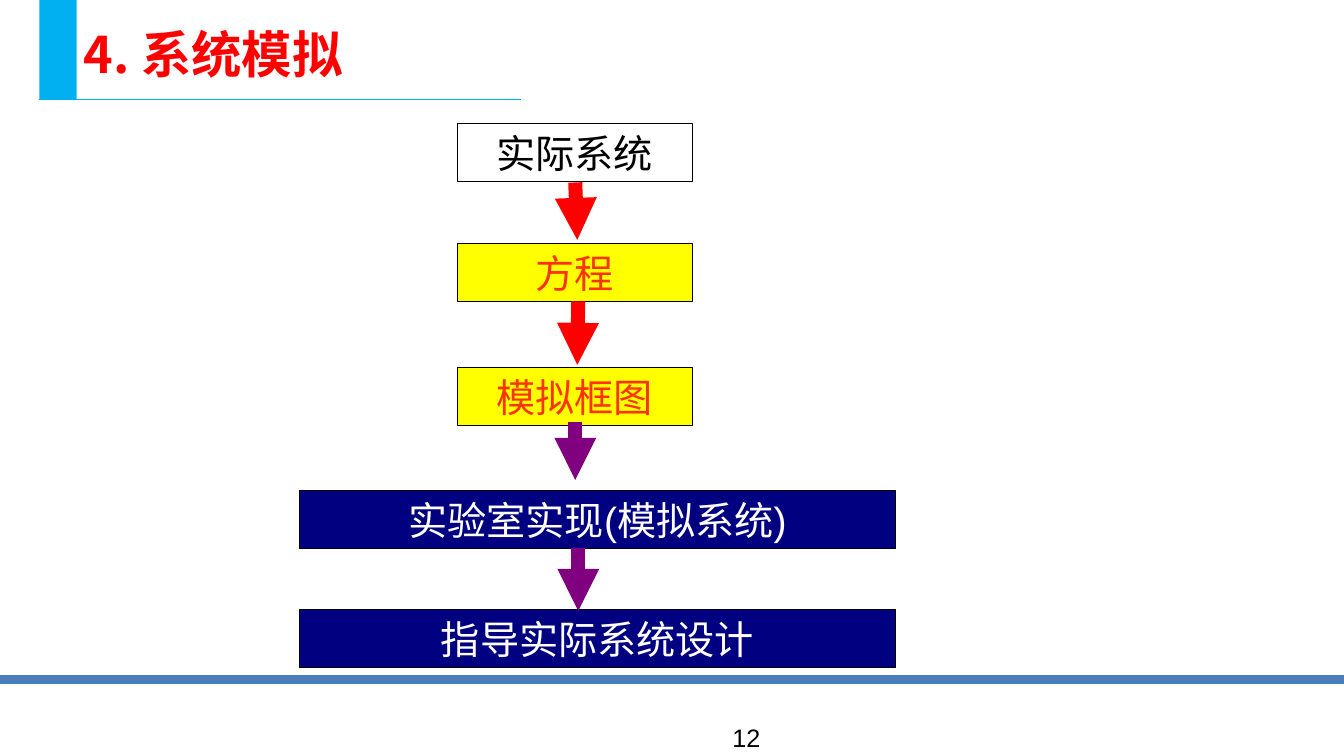
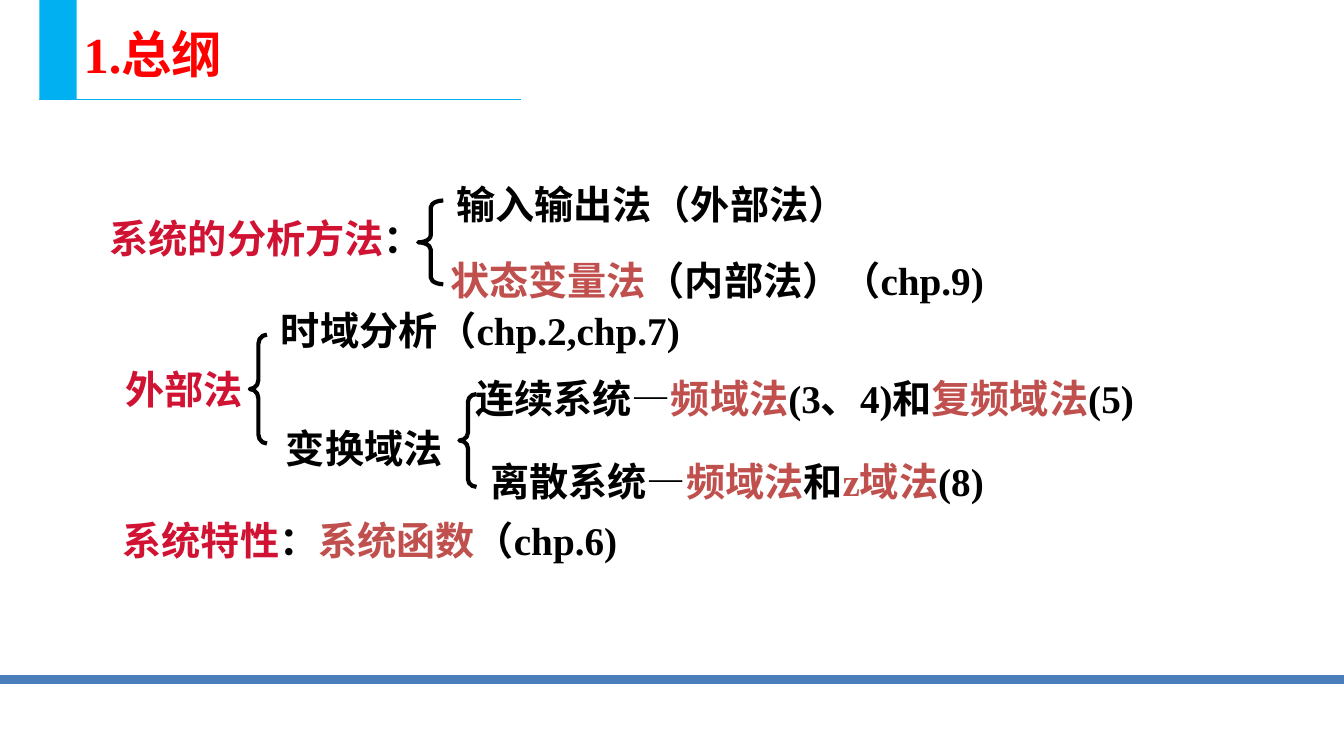
from lxml import etree
from pptx import Presentation
from pptx.dml.color import RGBColor
from pptx.enum.shapes import MSO_CONNECTOR, MSO_SHAPE
from pptx.enum.text import MSO_ANCHOR, MSO_AUTO_SIZE, PP_ALIGN
from pptx.oxml.ns import qn
from pptx.util import Pt

SCALE = 9144
SLIDE_WIDTH, SLIDE_HEIGHT = 1334, 750
TITLE_LAYOUT = 5

STRAIGHT = MSO_CONNECTOR.STRAIGHT
RECTANGLE, LEFT_BRACE = MSO_SHAPE.RECTANGLE, MSO_SHAPE.LEFT_BRACE
MIDDLE, BOTTOM = MSO_ANCHOR.MIDDLE, MSO_ANCHOR.BOTTOM
LEFT, CENTER = PP_ALIGN.LEFT, PP_ALIGN.CENTER
NO_AUTOSIZE = MSO_AUTO_SIZE.NONE

SANS, SERIF, CHINESE = "Arial", "Times New Roman", "Noto Sans CJK SC"
BLACK, WHITE, RED, YELLOW = "000000", "FFFFFF", "FF0000", "FFFF00"
CYAN, BAND_BLUE, NAVY, PURPLE = "00B0F0", "4A7EBB", "000080", "800080"
ORANGE, CRIMSON, BRICK = "FF3300", "D11333", "C0504D"

TITLE_TOP, TITLE_LEFT, TITLE_HEIGHT = 12, 73, 76
ROW_HEIGHT = 57
NARROW, WIDE = (454, 233), (297, 592)

STEPS = [
    ("实际系统", NARROW, 123, WHITE, BLACK),
    ("方程", NARROW, 242, YELLOW, ORANGE),
    ("模拟框图", NARROW, 365, YELLOW, ORANGE),
    ("实验室实现(模拟系统)", WIDE, 487, NAVY, WHITE),
    ("指导实际系统设计", WIDE, 605, NAVY, WHITE),
]
ARROWS = [
    ((571, 181), (573, 238), RED),
    ((574, 299), (573, 362), RED),
    ((571, 419), (571, 476), PURPLE),
    ((574, 544), (574, 606), PURPLE),
]
PAGE_NUMBER = ("12", (717, 712, 233, 50))

OUTLINE = [
    ((99, 207, 330), [("系统的分析方法", CRIMSON), ("：", BLACK)]),
    ((443, 174, 408), [("输入输出法（外部法）", BLACK)]),
    ((437, 249, 559), [("状态变量法", BRICK), ("（内部法）（chp.9)", BLACK)]),
    ((115, 357, 136), [("外部法", CRIMSON)]),
    ((269, 299, 425), [("时域分析（chp.2,chp.7)", BLACK)]),
    ((274, 416, 175), [("变换域法", BLACK)]),
    ((462, 366, 720), [("连续系统—", BLACK), ("频域法", BRICK), ("(3、4)和", BLACK),
                       ("复频域法", BRICK), ("(5)", BLACK)]),
    ((477, 449, 537), [("离散系统—", BLACK), ("频域法", BRICK), ("和", BLACK),
                       ("z域法", BRICK), ("(8)", BLACK)]),
    ((112, 507, 520), [("系统特性", CRIMSON), ("：", BLACK),
                       ("系统函数", BRICK), ("（chp.6)", BLACK)]),
]
BRACES = [(415, 199, 25, 83), (248, 332, 17, 108), (456, 391, 17, 92)]


def px(*lengths):
    return [length * SCALE for length in lengths]


def color(value):
    return RGBColor.from_string(value)


def write_text(box, spans, size=28, font=SANS, bold=False, align=LEFT,
               anchor=MIDDLE, wrap=True):
    frame = box.text_frame
    frame.auto_size = NO_AUTOSIZE
    frame.word_wrap = wrap
    frame.vertical_anchor = anchor
    para = frame.paragraphs[0]
    para.alignment = align
    for text, text_color in spans:
        span = para.add_run()
        span.text = text
        span.font.size = Pt(size)
        span.font.bold = bold
        span.font.color.rgb = color(text_color)
        span.font.name = font
        east_asian = etree.SubElement(span.font._element, qn("a:ea"))
        east_asian.set("typeface", CHINESE)


def add_box(page, kind, bounds, fill=None, line=None, width=0.75):
    box = page.shapes.add_shape(kind, *px(*bounds))
    box.shadow.inherit = False
    if fill:
        box.fill.solid()
        box.fill.fore_color.rgb = color(fill)
    else:
        box.fill.background()
    if line:
        box.line.color.rgb = color(line)
        box.line.width = Pt(width)
    else:
        box.line.fill.background()
    return box


def add_line(page, start, end, line, width, arrow=False):
    connector = page.shapes.add_connector(STRAIGHT, *px(*start, *end))
    connector.line.color.rgb = color(line)
    connector.line.width = Pt(width)
    if arrow:
        head = etree.SubElement(connector.line._get_or_add_ln(), qn("a:tailEnd"))
        head.set("type", "triangle")
    etree.SubElement(connector.element.spPr, qn("a:effectLst"))
    return connector


def add_frame(page):
    parts = [
        add_box(page, RECTANGLE, (39, 0, 37, 99), fill=CYAN),
        add_line(page, (39, 99), (517, 99), CYAN, 0.75),
        add_line(page, (0, 674), (SLIDE_WIDTH, 674), BAND_BLUE, 6),
    ]
    for part in parts:
        page.slide_layout.shapes.element.append(part.element)


def add_page(deck, title, width, font):
    page = deck.slides.add_slide(deck.slide_layouts[TITLE_LAYOUT])
    box = page.shapes.title
    box.left, box.top, box.width, box.height = px(TITLE_LEFT, TITLE_TOP, width, TITLE_HEIGHT)
    write_text(box, [(title, RED)], size=36, font=font, bold=True, anchor=BOTTOM)
    return page


def add_simulation_page(deck):
    page = add_page(deck, "4. 系统模拟", 720, CHINESE)
    add_frame(page)
    number, bounds = PAGE_NUMBER
    write_text(page.shapes.add_textbox(*px(*bounds)), [(number, BLACK)],
               size=18, anchor=MSO_ANCHOR.TOP)
    for text, (left, width), top, fill, text_color in STEPS:
        box = add_box(page, RECTANGLE, (left, top, width, ROW_HEIGHT), fill, BLACK)
        write_text(box, [(text, text_color)], align=CENTER)
    for start, end, line in ARROWS:
        add_line(page, start, end, line, 10, arrow=True)


def add_outline_page(deck):
    page = add_page(deck, "1.总纲", 575, SERIF)
    for (left, top, width), spans in OUTLINE:
        box = page.shapes.add_textbox(*px(left, top, width, ROW_HEIGHT))
        write_text(box, spans, font=SERIF, bold=True, wrap=False)
    for left, top, width, height in BRACES:
        brace = add_box(page, LEFT_BRACE, (left, top, width, height), line=BLACK, width=3)
        brace.adjustments[0] = height / 12 / width


def main():
    deck = Presentation()
    deck.slide_width, deck.slide_height = px(SLIDE_WIDTH, SLIDE_HEIGHT)
    add_simulation_page(deck)
    add_outline_page(deck)
    deck.save("out.pptx")


if __name__ == "__main__":
    main()
